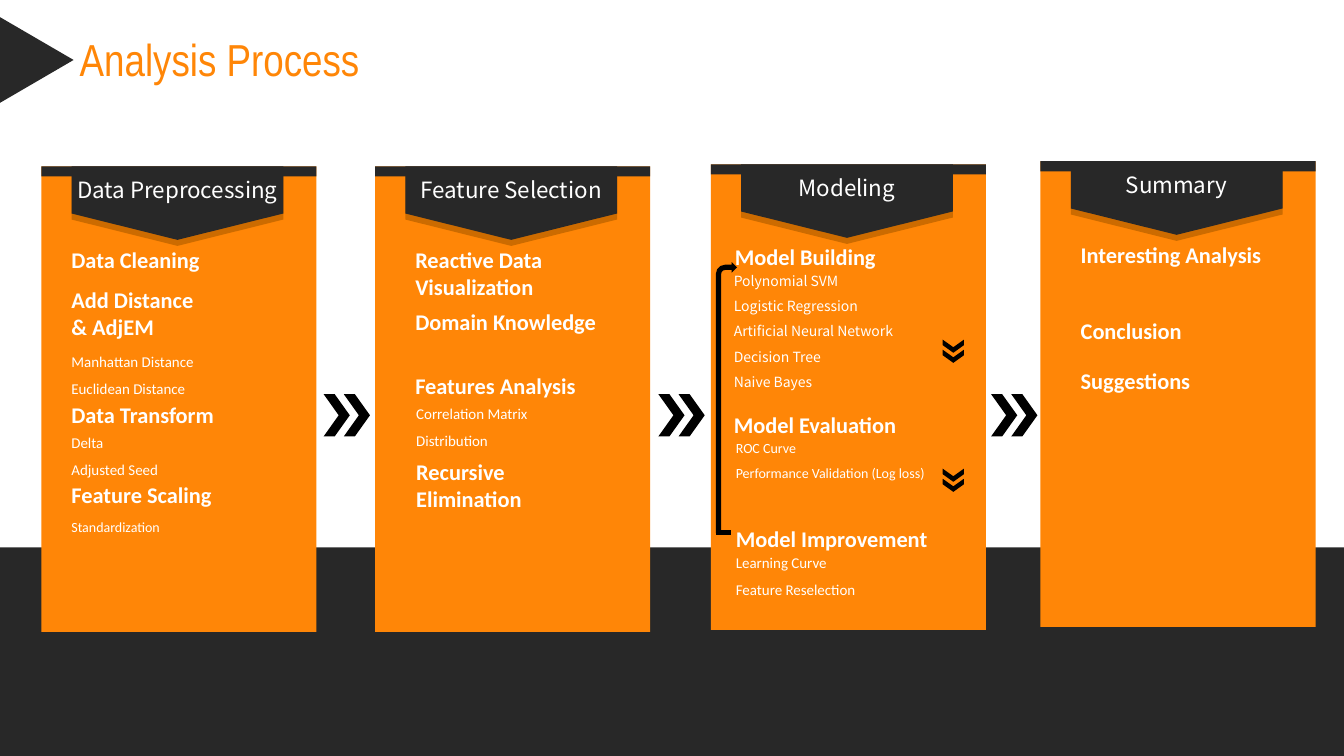
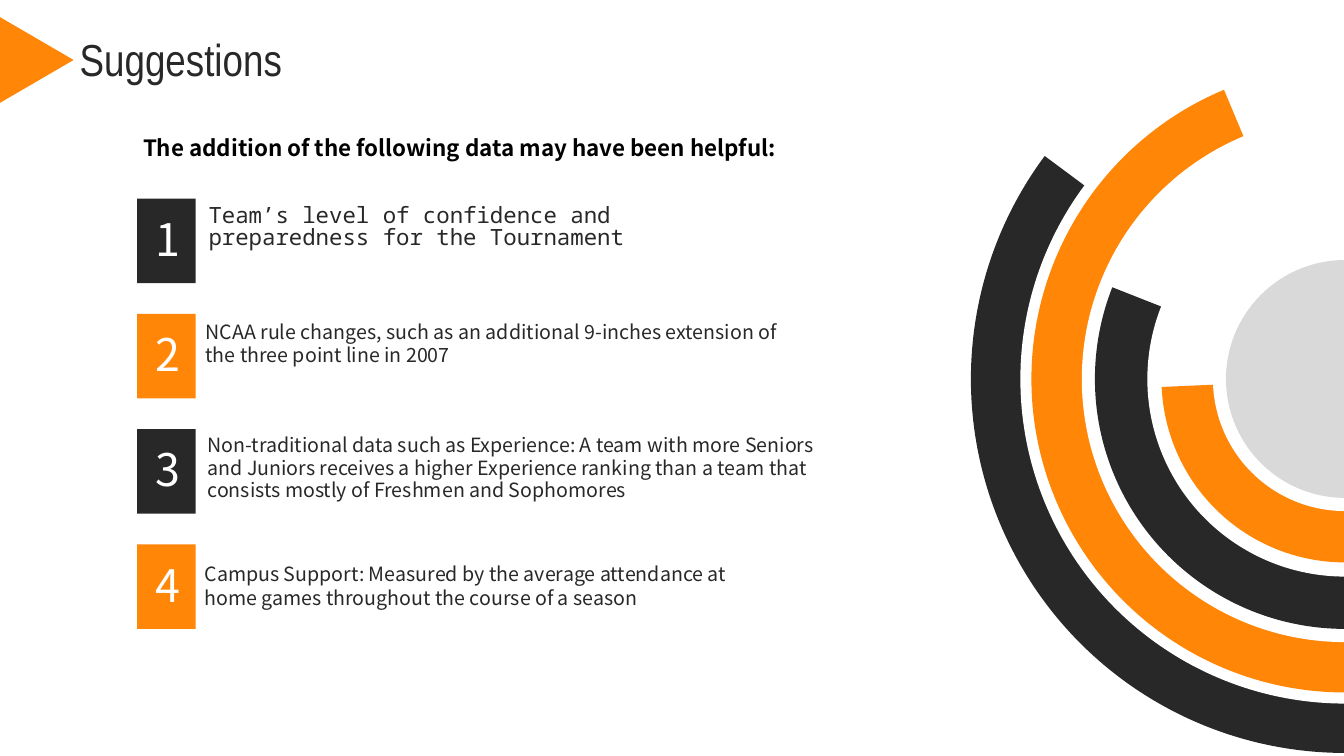
from lxml import etree
from pptx import Presentation
from pptx.dml.color import RGBColor
from pptx.enum.shapes import MSO_SHAPE as Shp
from pptx.enum.text import MSO_ANCHOR as Anchor, MSO_AUTO_SIZE as Fit, PP_ALIGN as Align
from pptx.oxml.ns import qn
from pptx.util import Inches, Pt


class Theme:
    orange, rust, dark = "FF8607", "CC6B00", "282828"
    white, black, gray = "FFFFFF", "000000", "D9D9D9"
    title, sans, body, mono = "Arial Narrow", "Noto Sans CJK SC", "Calibri", "Noto Sans Mono"
    huge, head, note, item, small = 32, 16, 14, 10.7, 10


WIDE, HIGH = 13.33, 7.5
CARD_W, CARD_H = 2.73, 4.62
TAB_W, TAB_H = 2.1, 0.73

# A heading is (left, top, width, lines); items are (left, top, lines, size, font).
CARDS = [
    dict(name="Data Preprocessing", at=(0.41, 1.65),
         heads=[(0.61, 2.39, 1.99, ["Data Cleaning"]),
                (0.61, 2.79, 1.99, ["Add Distance", "& AdjEM"]),
                (0.61, 3.93, 1.99, ["Data Transform"]),
                (0.61, 4.72, 1.99, ["Feature Scaling"])],
         items=[(0.61, 3.36, ["Manhattan Distance", "Euclidean Distance"],
                 Theme.item, Theme.body),
                (0.61, 4.16, ["Delta", "Adjusted Seed"], Theme.item, Theme.body),
                (0.61, 5.01, ["Standardization"], Theme.small, Theme.body)]),
    dict(name="Feature Selection", at=(3.72, 1.65),
         heads=[(4.02, 2.39, 1.99, ["Reactive Data Visualization"]),
                (4.02, 3.01, 1.99, ["Domain Knowledge"]),
                (4.02, 3.64, 1.99, ["Features Analysis"]),
                (4.03, 4.5, 1.99, ["Recursive Elimination"])],
         items=[(4.03, 3.88, ["Correlation Matrix", "Distribution"],
                 Theme.item, Theme.body)]),
    dict(name="Modeling", at=(7.05, 1.63),
         heads=[(7.19, 2.36, 1.99, ["Model Building"]),
                (7.18, 4.03, 2.19, ["Model Evaluation"]),
                (7.2, 5.16, 2.67, ["Model Improvement"])],
         items=[(7.18, 2.57, ["Polynomial SVM", "Logistic Regression",
                              "Artificial Neural Network", "Decision Tree",
                              "Naive Bayes"], Theme.small, Theme.sans),
                (7.2, 4.23, ["ROC Curve", "Performance Validation (Log loss)"],
                 Theme.small, Theme.body),
                (7.2, 5.35, ["Learning Curve", "Feature Reselection"],
                 Theme.item, Theme.body)]),
    dict(name="Summary", at=(10.32, 1.6),
         heads=[(10.62, 2.34, 1.99, ["Interesting Analysis"]),
                (10.62, 3.1, 1.99, ["Conclusion"]),
                (10.62, 3.59, 1.99, ["Suggestions"])],
         items=[]),
]

LEAD = "The addition of the following data may have been helpful:"
# Text, left, top, width, size, font, line spacing
TIPS = [
    ("Team’s level of confidence and preparedness for the Tournament",
     1.97, 1.99, 5.88, Theme.head, Theme.mono, Pt(16)),
    ("NCAA rule changes, such as an additional 9-inches extension of the three point "
     "line in 2007", 1.94, 3.14, 5.88, Theme.note, Theme.sans, Pt(16)),
    ("Non-traditional data such as Experience: A team with more Seniors and Juniors "
     "receives a higher Experience ranking than a team that consists mostly of Freshmen "
     "and Sophomores", 1.96, 4.26, 6.39, Theme.note, Theme.sans, Pt(16)),
    ("Campus Support: Measured by the average attendance at home games throughout the "
     "course of a season", 1.93, 5.53, 5.88, Theme.note, Theme.sans, None),
]

# Outer radius, inner radius, end angle (clockwise from east), colour
HUB_X, HUB_Y = 13.34, 3.76
RINGS = [
    (3.71, 3.22, 216.6, Theme.dark),
    (3.11, 2.61, 247.3, Theme.orange),
    (2.48, 1.96, 201.5, Theme.dark),
    (1.82, 1.31, 177.5, Theme.orange),
    (1.18, 0, 270, Theme.gray),
]


def paint(shape, color):
    shape.shadow.inherit = False
    shape.fill.solid()
    shape.fill.fore_color.rgb = RGBColor.from_string(color)
    shape.line.fill.background()
    return shape


def block(slide, kind, x, y, w, h, color, adj=None):
    shape = slide.shapes.add_shape(kind, Inches(x), Inches(y), Inches(w), Inches(h))
    if adj is not None:
        shape.adjustments[0] = adj
    return paint(shape, color)


def turned(slide, kind, x, y, w, h, color, adj=None):
    """Add a shape turned by 90 degrees; the box is the one seen after the turn."""
    shape = block(slide, kind, x + (w - h) / 2, y + (h - w) / 2, h, w, color, adj)
    shape.rotation = 90


def write(frame, lines, size, font, color, bold=False, align=Align.LEFT, space=None):
    for i, line in enumerate(lines):
        para = frame.paragraphs[0] if i == 0 else frame.add_paragraph()
        para.alignment = align
        if space:
            para.line_spacing = space
        run = para.add_run()
        run.text = line
        run.font.size, run.font.name, run.font.bold = Pt(size), font, bold
        run.font.color.rgb = RGBColor.from_string(color)


def label(slide, x, y, w, lines, size, font, color, **style):
    box = slide.shapes.add_textbox(Inches(x), Inches(y), Inches(w), Inches(0.37))
    box.text_frame.word_wrap = True
    box.text_frame.auto_size = Fit.SHAPE_TO_FIT_TEXT
    write(box.text_frame, lines, size, font, color, **style)


def start(deck, text, width, color, mark):
    """Add a slide with its title and the pointer at its left edge."""
    slide = deck.slides.add_slide(deck.slide_layouts[5])
    title = slide.shapes.title
    title.left, title.top = Inches(0.69), Inches(0.26)
    title.width, title.height = Inches(width), Inches(0.64)
    frame = title.text_frame
    frame.vertical_anchor, frame.word_wrap = Anchor.TOP, False
    frame.auto_size = Fit.SHAPE_TO_FIT_TEXT
    write(frame, [text], Theme.huge, Theme.title, color)
    turned(slide, Shp.ISOSCELES_TRIANGLE, 0, 0.17, 0.73, 0.85, mark)
    return slide


def draw_card(slide, card):
    x, y = card["at"]
    tab = x + 0.3
    block(slide, Shp.RECTANGLE, x, y, CARD_W, CARD_H, Theme.orange)
    turned(slide, Shp.PENTAGON, tab, y + 0.06, TAB_W, TAB_H, Theme.rust, 0.358)
    block(slide, Shp.RECTANGLE, x, y, CARD_W, 0.1, Theme.dark)
    turned(slide, Shp.PENTAGON, tab, y, TAB_W, TAB_H, Theme.dark, 0.358)
    label(slide, tab - 0.1, y + 0.05, TAB_W + 0.2, [card["name"]], Theme.head, Theme.sans,
          Theme.white, align=Align.CENTER)
    for left, top, lines, size, font in card["items"]:
        label(slide, left, top, 2.4, lines, size, font, Theme.white, space=1.5)
    for left, top, wide, lines in card["heads"]:
        label(slide, left, top, wide, lines, Theme.head, Theme.body, Theme.white, bold=True)


def process(deck):
    slide = start(deck, "Analysis Process", 3.3, Theme.orange, Theme.dark)
    block(slide, Shp.RECTANGLE, 0, 5.43, WIDE, HIGH - 5.43, Theme.dark)
    for card in CARDS:
        draw_card(slide, card)
    for card, after in zip(CARDS, CARDS[1:]):
        mid = (card["at"][0] + CARD_W + after["at"][0]) / 2
        for x in (mid - 0.22, mid - 0.02):
            block(slide, Shp.CHEVRON, x, 3.91, 0.26, 0.42, Theme.black, 0.577)
    for top in (3.37, 4.65):
        for y in (top, top + 0.1):
            turned(slide, Shp.CHEVRON, 9.35, y, 0.21, 0.13, Theme.black, 0.577)
    block(slide, Shp.BENT_ARROW, 7.1, 2.6, 0.21, 2.69, Theme.black)
    block(slide, Shp.MATH_MINUS, 7.07, 5.18, 0.21, 0.21, Theme.black)


def sector(slide, x, y, w, h, first, sweep, color):
    """Add a circle sector around the point half the width in from the box's corner."""
    left, top, right, low = Inches(x), Inches(y), Inches(x + w), Inches(y + h)
    form = slide.shapes.build_freeform(left, top)
    form.add_line_segments([(right, top), (right, low), (left, low)], close=True)
    shape = paint(form.convert_to_shape(), color)
    track = next(shape.element.iter(qn("a:path")))
    for node in list(track):
        track.remove(node)
    r = Inches(w / 2)
    begin = {90: (r, 2 * r), 180: (0, r)}[first]
    for tag, (px, py) in (("a:moveTo", begin), ("a:lnTo", (r, r))):
        node = etree.SubElement(track, qn(tag))
        etree.SubElement(node, qn("a:pt"), x=str(px), y=str(py))
        if tag == "a:moveTo":
            etree.SubElement(track, qn("a:arcTo"), wR=str(r), hR=str(r),
                             stAng=str(first * 60000), swAng=str(round(sweep * 60000)))
    etree.SubElement(track, qn("a:close"))
    return shape


def suggest(deck):
    slide = start(deck, "Suggestions", 2.48, Theme.dark, Theme.orange)
    for outer, inner, end, color in RINGS:
        sector(slide, HUB_X - outer, HUB_Y - outer, 2 * outer, 2 * outer,
               90, end - 90, color)
        if inner:
            half = sector(slide, HUB_X - inner * 1.5, HUB_Y - inner / 2, 2 * inner, inner,
                          180, 180, Theme.white)
            half.rotation = 270
    label(slide, 1.32, 1.28, 6.85, [LEAD], Theme.head, Theme.sans, Theme.black, bold=True)
    pitch = (5.4 - 1.97) / (len(TIPS) - 1)
    for i, (text, x, y, w, size, font, space) in enumerate(TIPS):
        fill = (Theme.dark, Theme.orange)[i % 2]
        tile = block(slide, Shp.RECTANGLE, 1.36, 1.97 + i * pitch, 0.58, 0.84, fill)
        frame = tile.text_frame
        frame.margin_left, frame.margin_bottom = Inches(0.04), Inches(0.05)
        frame.margin_right = frame.margin_top = 0
        frame.vertical_anchor = Anchor.MIDDLE
        write(frame, [str(i + 1)], Theme.huge, Theme.sans, Theme.white, align=Align.CENTER)
        label(slide, x, y, w, [text], size, font, Theme.dark, space=space)


def main():
    deck = Presentation()
    deck.slide_width, deck.slide_height = Inches(WIDE), Inches(HIGH)
    process(deck)
    suggest(deck)
    deck.save("out.pptx")


if __name__ == "__main__":
    main()
